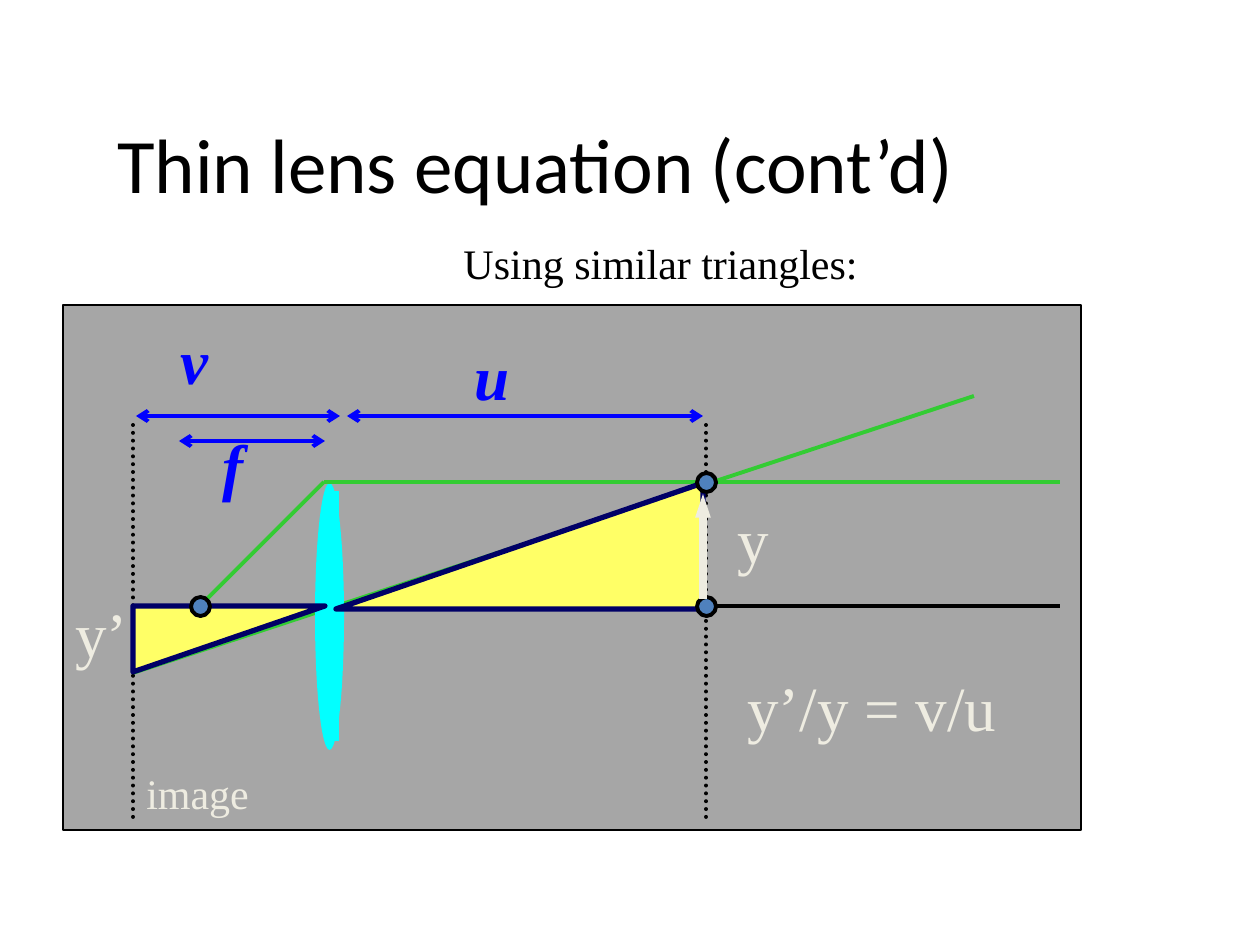
from dataclasses import dataclass

from lxml import etree
from pptx import Presentation
from pptx.dml.color import RGBColor
from pptx.enum.dml import MSO_LINE
from pptx.enum.shapes import MSO_CONNECTOR, MSO_SHAPE
from pptx.enum.text import MSO_ANCHOR, MSO_AUTO_SIZE, PP_ALIGN
from pptx.oxml.ns import qn
from pptx.util import Emu, Pt

STRAIGHT = MSO_CONNECTOR.STRAIGHT
RECT, OVAL = MSO_SHAPE.RECTANGLE, MSO_SHAPE.OVAL
DOTTED = MSO_LINE.ROUND_DOT
FIT, NO_FIT = MSO_AUTO_SIZE.SHAPE_TO_FIT_TEXT, MSO_AUTO_SIZE.NONE
MIDDLE, CENTER = MSO_ANCHOR.MIDDLE, PP_ALIGN.CENTER

COLORS = {
    "black": "000000", "panel": "A6A6A6", "cream": "EEECE1", "lens": "02FFFF",
    "ray": "33CC33", "measure": "0000FF", "fill": "FFFF66", "edge": "000066",
    "point": "4F81BD",
}
PX_PER_INCH = 126

# Shared positions of the diagram
IMAGE_X, FOCUS_X, LENS_X, OBJECT_X, RIGHT_X = 133, 200, 324, 706, 1060
TOP_Y, AXIS_Y, IMAGE_Y, MEASURE_Y = 482, 606, 673, 416


@dataclass
class Line:
    x1: int
    y1: int
    x2: int
    y2: int
    color: str
    width: float = 2.25
    dotted: bool = False
    head: str = ""
    tail: str = ""
    head_width: str = "med"


@dataclass
class Shape:
    kind: int
    x: int
    y: int
    w: int
    h: int
    fill: str
    line: str = ""
    width: float = 2.25


@dataclass
class Triangle:
    points: list[tuple[int, int]]


@dataclass
class Label:
    text: str
    x: int
    y: int
    w: int
    h: int = 88
    size: int = 36
    color: str = "cream"
    strong: bool = False


def px(n: int) -> Emu:
    return Emu(round(n * 914400 / PX_PER_INCH))


def rgb(name: str) -> RGBColor:
    return RGBColor.from_string(COLORS[name])


def draw_line(slide, item: Line) -> None:
    sp = slide.shapes.add_connector(STRAIGHT, px(item.x1), px(item.y1), px(item.x2), px(item.y2))
    sp.line.color.rgb = rgb(item.color)
    sp.line.width = Pt(item.width)
    ln = sp.line._get_or_add_ln()
    if item.dotted:
        sp.line.dash_style = DOTTED
        ln.set("cap", "rnd")
    for tag, end in (("a:headEnd", item.head), ("a:tailEnd", item.tail)):
        if end:
            etree.SubElement(ln, qn(tag), type=end, w=item.head_width)
    etree.SubElement(sp._element.spPr, qn("a:effectLst"))


def paint(sp, fill: str, line: str, width: float) -> None:
    sp.shadow.inherit = False
    sp.fill.solid()
    sp.fill.fore_color.rgb = rgb(fill)
    if line:
        sp.line.color.rgb = rgb(line)
        sp.line.width = Pt(width)
    else:
        sp.line.fill.background()


def draw_shape(slide, item: Shape) -> None:
    sp = slide.shapes.add_shape(item.kind, px(item.x), px(item.y), px(item.w), px(item.h))
    paint(sp, item.fill, item.line, item.width)


def draw_triangle(slide, item: Triangle) -> None:
    start, *rest = [(px(x), px(y)) for x, y in item.points]
    builder = slide.shapes.build_freeform(*start)
    builder.add_line_segments(rest, close=True)
    paint(builder.convert_to_shape(), "fill", "edge", 3)


def draw_label(slide, item: Label, font: str = "Times New Roman", title: bool = False) -> None:
    sp = slide.shapes.add_textbox(px(item.x), px(item.y), px(item.w), px(item.h))
    tf = sp.text_frame
    tf.text = item.text
    tf.word_wrap = title
    tf.auto_size = NO_FIT if title else FIT
    p = tf.paragraphs[0]
    if title:
        tf.vertical_anchor = MIDDLE
        p.alignment = CENTER
    r = p.runs[0]
    r.font.name = font
    r.font.size = Pt(item.size)
    r.font.color.rgb = rgb(item.color)
    if item.strong:
        r.font.bold = r.font.italic = True


def measure(x1: int, x2: int, y: int) -> Line:
    return Line(x1, y, x2, y, "measure", head="arrow", tail="arrow")


def point(x: int, y: int) -> Shape:
    return Shape(OVAL, x - 9, y - 9, 19, 19, "point", "black")


def symbol(text: str, x: int, y: int, w: int) -> Label:
    return Label(text, x, y, w, color="measure", strong=True)


DRAW = {Line: draw_line, Shape: draw_shape, Triangle: draw_triangle, Label: draw_label}

# Diagram parts from back to front
PARTS = [
    Shape(RECT, 63, 305, 1018, 525, "panel", "black", 1),
    Label("Using similar triangles:", 451, 231, 420, 63, 24, "black"),
    Label("y’/y = v/u", 735, 662, 275),
    # Lens, axis and rays
    Line(334, 491, 334, 741, "lens", 6),
    Line(RIGHT_X, AXIS_Y, IMAGE_X, AXIS_Y, "black"),
    Line(974, 396, IMAGE_X, IMAGE_Y, "ray"),
    Shape(OVAL, 315, 483, 29, 267, "lens"),
    Line(LENS_X, TOP_Y, IMAGE_X, IMAGE_Y, "ray"),
    Line(RIGHT_X, TOP_Y, LENS_X, TOP_Y, "ray"),
    # Image and object planes
    *(Line(x, 425, x, 817, "black", dotted=True) for x in (IMAGE_X, OBJECT_X)),
    # Distances
    symbol("f", 210, 420, 47),
    measure(703, 347, MEASURE_Y),
    symbol("u", 462, 331, 60),
    measure(340, 136, MEASURE_Y),
    symbol("v", 168, 315, 53),
    measure(325, 179, 441),
    # Similar triangles and their heights
    Triangle([(336, 609), (703, 609), (703, 483)]),
    Triangle([(325, AXIS_Y), (IMAGE_X, AXIS_Y), (IMAGE_X, 672)]),
    Label("y’", 63, 588, 78),
    Label("y", 725, 494, 57),
    # Focal and object points
    point(FOCUS_X, AXIS_Y),
    point(OBJECT_X, AXIS_Y),
    point(OBJECT_X, TOP_Y),
    Line(703, 599, 703, 494, "cream", 4.5, tail="triangle", head_width="sm"),
    Label("image", 134, 761, 136, 63, 24),
]


def main() -> None:
    prs = Presentation()
    prs.slide_width, prs.slide_height = px(1260), px(945)
    slide = prs.slides.add_slide(prs.slide_layouts[6])
    title = Label("Thin lens equation (cont’d)", 0, 84, 1071, 158, 44, "black")
    draw_label(slide, title, "Calibri", title=True)
    for part in PARTS:
        DRAW[type(part)](slide, part)
    prs.save("out.pptx")


if __name__ == "__main__":
    main()
